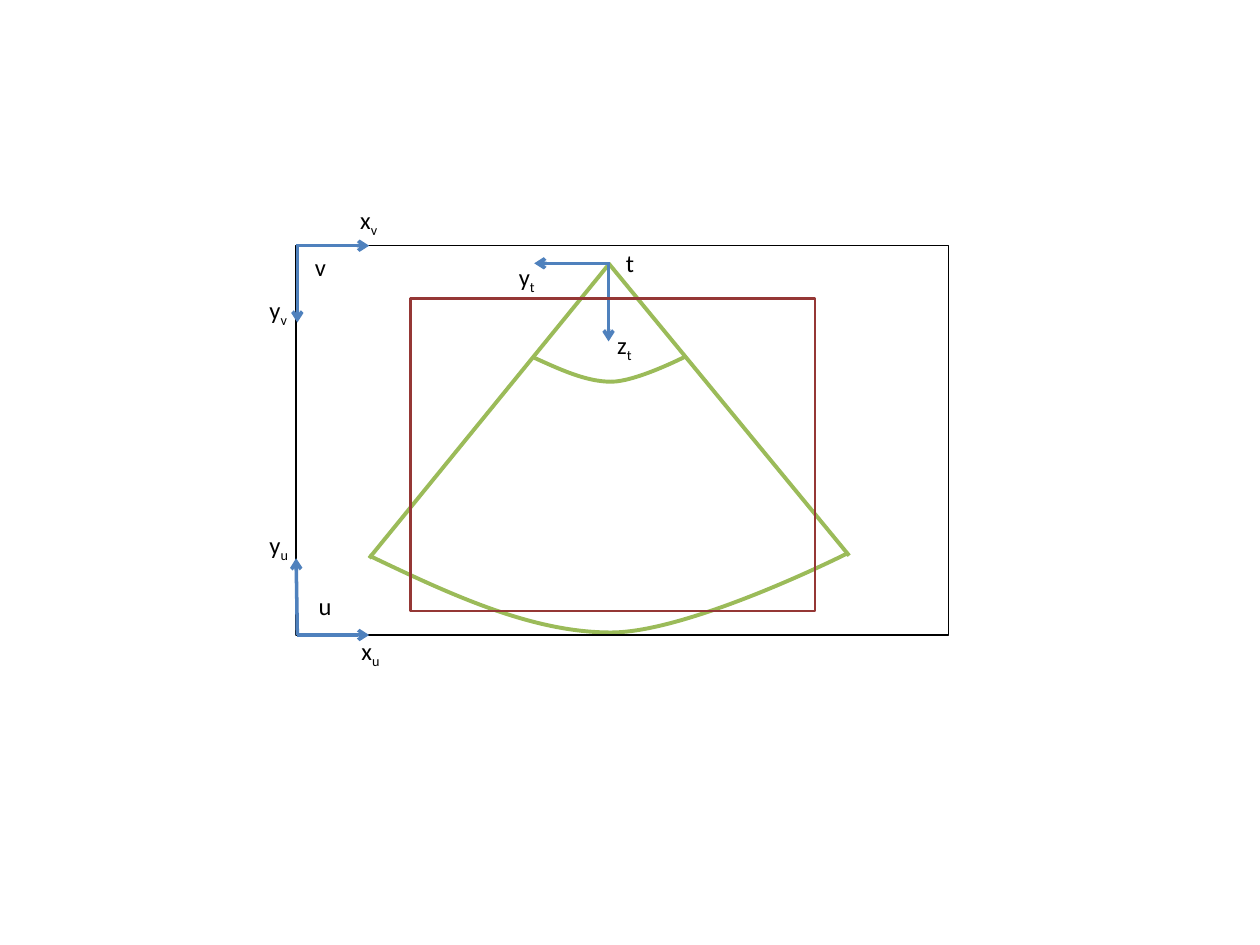
from dataclasses import dataclass

from lxml import etree
from pptx import Presentation
from pptx import util as u
from pptx.dml.color import RGBColor
from pptx.enum import shapes, text
from pptx.oxml.ns import qn


@dataclass(frozen=True)
class Theme:
    """Colours, type and line widths of the diagram."""
    ink: str = "000000"
    sector: str = "9BBB59"
    axis: str = "4F81BD"
    region: str = "953735"
    font: str = "Calibri"
    label_size: float = 14
    frame_width: float = 0.75
    region_width: float = 1.5
    axis_width: float = 2
    sector_width: float = 2.25


THEME = Theme()
COLUMNS, ROWS = 100, 75
SLIDE_WIDTH, SLIDE_HEIGHT = u.Inches(10), u.Inches(7.5)
LABEL_HEIGHT = 3.4

SECTOR_SIDES = [((48.3, 20.9), (67.4, 44.1)), ((29.3, 44.3), (48.3, 21))]
OUTER_ARC = [(29.3, 44.1), (35.8, 47.2), (42.2, 50.2), (48.5, 50.2),
             (54.8, 50.2), (67.3, 43.9), (67.3, 43.9)]
INNER_ARC = [(42.4, 28.4), (44.4, 29.3), (46.5, 30.3), (48.5, 30.3),
             (50.5, 30.3), (54.4, 28.3), (54.4, 28.3)]
AXES = [
    ((48.3, 20.8), (48.3, 27.1)), ((48.2, 20.9), (42.4, 20.9)),
    ((23.6, 19.4), (23.6, 25.6)), ((23.5, 19.5), (29.3, 19.5)),
    ((23.6, 50.4), (23.5, 44.3)), ((23.6, 50.4), (29.3, 50.4)),
]
LABELS = [
    ("t", "", 48.7, 19.2, 2.7), ("y", "t", 40.2, 20.3, 3.3),
    ("z", "t", 48, 25.7, 3.3),
    ("v", "", 24, 19.5, 2.9), ("x", "v", 27.6, 15.8, 3.5),
    ("y", "v", 20.4, 22.9, 3.5),
    ("u", "", 24.3, 46.4, 3.1), ("y", "u", 20.4, 41.6, 3.6),
    ("x", "u", 27.7, 50, 3.6),
]


def place(column, row):
    """Turn a grid position or size into slide lengths."""
    return (u.Emu(round(SLIDE_WIDTH * column / COLUMNS)),
            u.Emu(round(SLIDE_HEIGHT * row / ROWS)))


def style_line(line, color, width):
    """Give a line its colour and width."""
    line.color.rgb = RGBColor.from_string(color)
    line.width = u.Pt(width)


def add_line(slide, start, end, color, width, arrow=False):
    """Draw a straight line, with an arrowhead at its end if asked."""
    connector = slide.shapes.add_connector(
        shapes.MSO_CONNECTOR.STRAIGHT, *place(*start), *place(*end))
    style_line(connector.line, color, width)
    properties = connector._element.spPr
    if arrow:
        outline = properties.find(qn("a:ln"))
        etree.SubElement(outline, qn("a:tailEnd"), type="arrow")
    etree.SubElement(properties, qn("a:effectLst"))


def add_frame(slide, position, size, color, width):
    """Draw an unfilled rectangle."""
    shape = slide.shapes.add_shape(
        shapes.MSO_SHAPE.RECTANGLE, *place(*position), *place(*size))
    shape.shadow.inherit = False
    shape.fill.background()
    style_line(shape.line, color, width)


def add_arc(slide, points, color, width):
    """Draw an open curve from a start and triples of Bézier points."""
    start, *controls = [place(*point) for point in points]
    builder = slide.shapes.build_freeform(*start)
    builder.add_line_segments(controls, close=False)
    shape = builder.convert_to_shape()
    shape.shadow.inherit = False
    shape.fill.background()
    style_line(shape.line, color, width)
    outline = next(shape._element.iter(qn("a:path")))
    segments = outline.findall(qn("a:lnTo"))
    for first in range(0, len(segments), 3):
        curve = etree.SubElement(outline, qn("a:cubicBezTo"))
        for segment in segments[first:first + 3]:
            curve.append(segment[0])
            outline.remove(segment)


def add_run(paragraph, content, subscript=False):
    """Add one run of label text."""
    run = paragraph.add_run()
    run.text = content
    run.font.name = THEME.font
    run.font.size = u.Pt(THEME.label_size)
    run.font.color.rgb = RGBColor.from_string(THEME.ink)
    if subscript:
        run._r.get_or_add_rPr().set("baseline", "-25000")


def add_label(slide, symbol, subscript, column, row, width):
    """Add a symbol with an optional subscript."""
    shape = slide.shapes.add_textbox(
        *place(column, row), *place(width, LABEL_HEIGHT))
    frame = shape.text_frame
    frame.word_wrap = False
    frame.auto_size = text.MSO_AUTO_SIZE.SHAPE_TO_FIT_TEXT
    paragraph = frame.paragraphs[0]
    add_run(paragraph, symbol)
    if subscript:
        add_run(paragraph, subscript, subscript=True)


def main():
    """Build the coordinate system diagram."""
    presentation = Presentation()
    presentation.slide_width = SLIDE_WIDTH
    presentation.slide_height = SLIDE_HEIGHT
    slide = presentation.slides.add_slide(presentation.slide_layouts[6])
    for start, end in SECTOR_SIDES:
        add_line(slide, start, end, THEME.sector, THEME.sector_width)
    for points in (OUTER_ARC, INNER_ARC):
        add_arc(slide, points, THEME.sector, THEME.sector_width)
    add_frame(slide, (23.5, 19.5), (51.8, 30.9), THEME.ink, THEME.frame_width)
    for start, end in AXES:
        add_line(slide, start, end, THEME.axis, THEME.axis_width, arrow=True)
    for label in LABELS:
        add_label(slide, *label)
    add_frame(slide, (32.6, 23.7), (32.1, 24.8),
              THEME.region, THEME.region_width)
    presentation.save("out.pptx")


if __name__ == "__main__":
    main()
